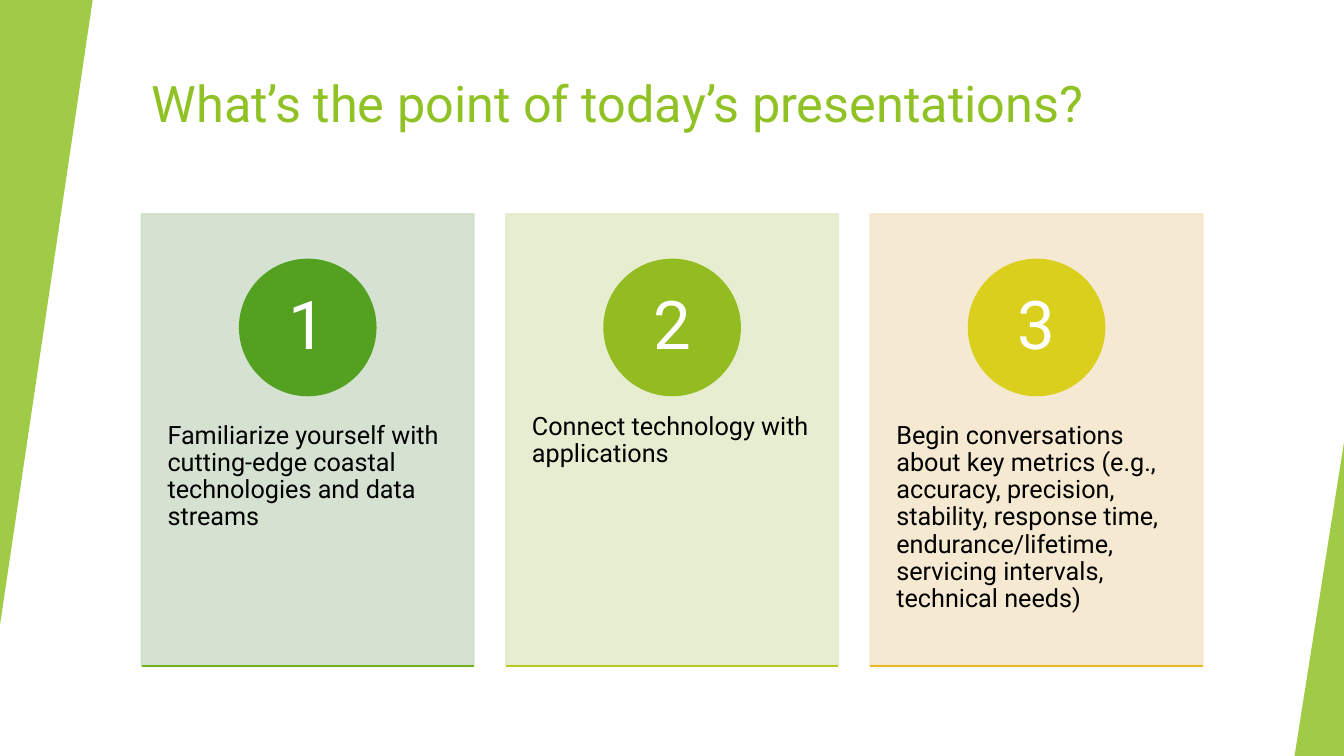
"""Build a slide with a title and three numbered goal cards between green wedges."""
from lxml import etree
from pptx import Presentation
from pptx.dml.color import RGBColor
from pptx.enum.shapes import MSO_CONNECTOR, MSO_SHAPE
from pptx.enum.text import MSO_ANCHOR, PP_ALIGN
from pptx.oxml.ns import qn
from pptx.util import Pt

RECTANGLE, OVAL, TRIANGLE = MSO_SHAPE.RECTANGLE, MSO_SHAPE.OVAL, MSO_SHAPE.ISOSCELES_TRIANGLE
STRAIGHT = MSO_CONNECTOR.STRAIGHT
TOP, MIDDLE = MSO_ANCHOR.TOP, MSO_ANCHOR.MIDDLE
LEFT, CENTER = PP_ALIGN.LEFT, PP_ALIGN.CENTER

TITLE = "What’s the point of today’s presentations?"
GOALS = [
    {"text": "Familiarize yourself with cutting-edge coastal technologies and data streams",
     "card": "D1DFCD", "badge": "54A021", "rule": "71AE20"},
    {"text": "Connect technology with applications",
     "card": "E5ECCB", "badge": "92BC1F", "rule": "B9CB1E"},
    {"text": "Begin conversations about key metrics (e.g., accuracy, precision, stability, "
             "response time, endurance/lifetime, servicing intervals, technical needs)",
     "card": "F5E7CD", "badge": "DACF1C", "rule": "E6B91E"},
]
WEDGES = [((0, 0, 66.2, 446.4), 180), ((924.7, 316, 35.3, 224), 0)]

THEME = {
    "font": "Roboto", "accent": "90C226", "ink": "000000", "paper": "FFFFFF",
    "title": 36, "body": 18, "number": 48, "line": 1.5,
    "wedge_alpha": 85, "card_alpha": 90,
}
SLIDE_W, SLIDE_H = 960, 540
CARD_X, CARD_Y, CARD_W, CARD_H, CARD_PITCH = 101.2, 153, 237.2, 322.6, 260.3
BADGE_Y, BADGE_SIZE = 185.5, 96.8
GOAL_Y, GOAL_H = 275.8, 193.6


def set_alpha(fill, percent):
    color = fill._xPr.find(qn("a:solidFill"))[0]
    etree.SubElement(color, qn("a:alpha")).set("val", str(percent * 1000))


def add_panel(slide, preset, box, color, alpha=100, outlined=True):
    panel = slide.shapes.add_shape(preset, *map(Pt, box))
    panel.shadow.inherit = False
    fills = [panel.fill]
    if outlined:
        panel.line.width = Pt(THEME["line"])
        fills.append(panel.line.fill)
    else:
        panel.line.fill.background()
    for fill in fills:
        fill.solid()
        fill.fore_color.rgb = RGBColor.from_string(color)
        if alpha < 100:
            set_alpha(fill, alpha)
    return panel


def write(holder, text, size, color, align=LEFT, anchor=TOP, inset=(7.2, 3.6), spacing=1.0):
    frame = holder.text_frame
    side, end = map(Pt, inset)
    frame_format = {"word_wrap": True, "vertical_anchor": anchor, "margin_left": side,
                    "margin_right": side, "margin_top": end, "margin_bottom": end}
    for name, value in frame_format.items():
        setattr(frame, name, value)
    paragraph = frame.paragraphs[0]
    paragraph.alignment = align
    paragraph.line_spacing = spacing
    run = paragraph.add_run()
    run.text = text
    for name, value in {"name": THEME["font"], "size": Pt(size)}.items():
        setattr(run.font, name, value)
    run.font.color.rgb = RGBColor.from_string(color)


def add_goal(slide, index, goal):
    x = CARD_X + index * CARD_PITCH
    bottom = CARD_Y + CARD_H
    add_panel(slide, RECTANGLE, (x, CARD_Y, CARD_W, CARD_H), goal["card"], THEME["card_alpha"])

    description = slide.shapes.add_textbox(*map(Pt, (x, GOAL_Y, CARD_W, GOAL_H)))
    write(description, goal["text"], THEME["body"], THEME["ink"], inset=(18.5, 26), spacing=0.9)

    badge_x = x + (CARD_W - BADGE_SIZE) / 2
    badge = add_panel(slide, OVAL, (badge_x, BADGE_Y, BADGE_SIZE, BADGE_SIZE), goal["badge"])
    write(badge, str(index + 1), THEME["number"], THEME["paper"], CENTER, MIDDLE,
          inset=(7.2, 0.7), spacing=0.9)

    rule = slide.shapes.add_connector(STRAIGHT, *map(Pt, (x, bottom, x + CARD_W, bottom)))
    rule.line.width = Pt(THEME["line"])
    rule.line.color.rgb = RGBColor.from_string(goal["rule"])
    etree.SubElement(rule._element.spPr, qn("a:effectLst"))


def main():
    deck = Presentation()
    deck.slide_width, deck.slide_height = Pt(SLIDE_W), Pt(SLIDE_H)
    slide = deck.slides.add_slide(deck.slide_layouts[6])
    slide.background.fill.solid()
    slide.background.fill.fore_color.rgb = RGBColor.from_string(THEME["paper"])

    title = slide.shapes.add_textbox(*map(Pt, (CARD_X, 48, 802.8, 86.4)))
    write(title, TITLE, THEME["title"], THEME["accent"])

    for box, rotation in WEDGES:
        wedge = add_panel(slide, TRIANGLE, box, THEME["accent"], THEME["wedge_alpha"], False)
        wedge.adjustments[0] = 1
        wedge.rotation = rotation

    for index, goal in enumerate(GOALS):
        add_goal(slide, index, goal)
    deck.save("out.pptx")


if __name__ == "__main__":
    main()
